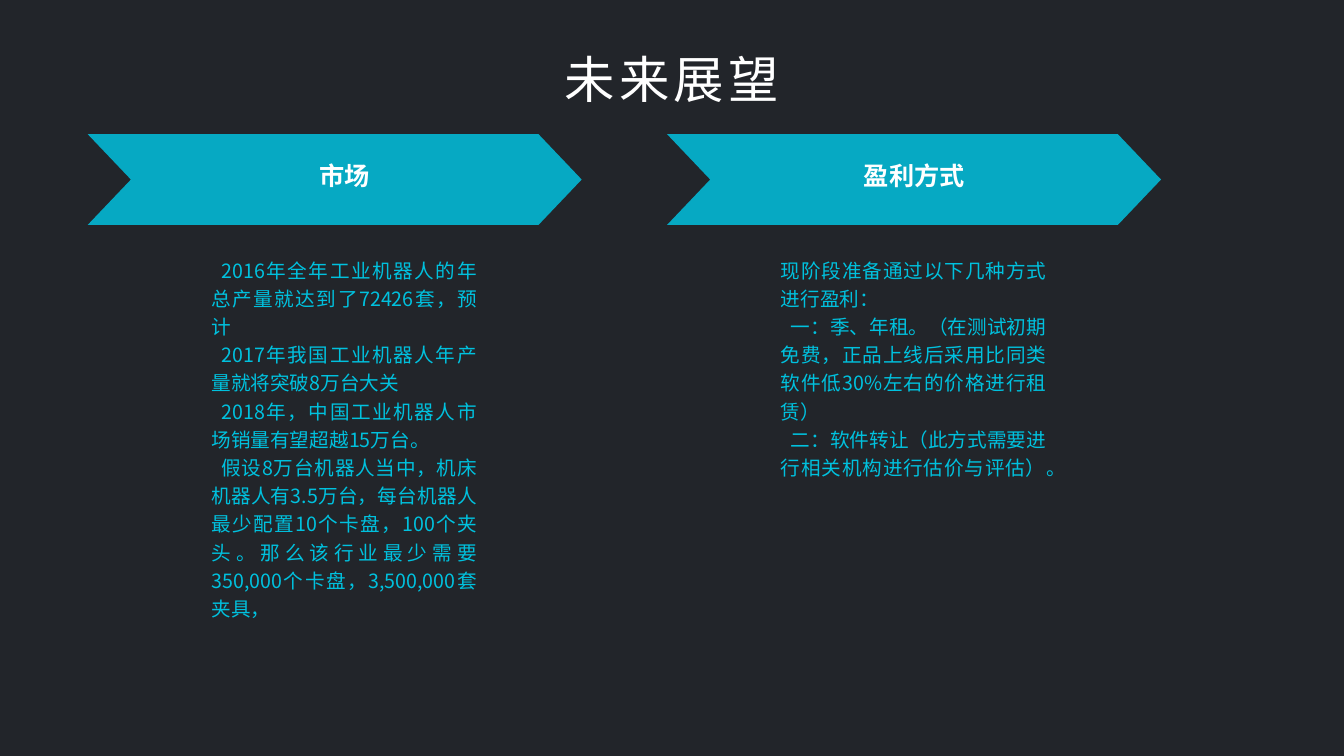
from dataclasses import dataclass

from lxml import etree
from pptx import Presentation
from pptx import util as u
from pptx.dml.color import RGBColor
from pptx.enum import shapes, text
from pptx.oxml import ns

TITLE = "未来展望"
COLUMNS = [
    {
        "heading": "市场",
        "body_height": 9.58,
        "paragraphs": [
            ("2016年全年工业机器人的年总产量就达到了72426套，预计", True),
            ("2017年我国工业机器人年产量就将突破8万台大关", True),
            ("2018年，中国工业机器人市场销量有望超越15万台。", True),
            ("假设8万台机器人当中，机床机器人有3.5万台，每台机器人最少配置10个卡盘，"
             "100个夹头。那么该行业最少需要350,000个卡盘，3,500,000套夹具，", True),
        ],
    },
    {
        "heading": "盈利方式",
        "body_height": 6.71,
        "paragraphs": [
            ("现阶段准备通过以下几种方式进行盈利：", False),
            ("一：季、年租。（在测试初期免费，正品上线后采用比同类软件低30%左右的价格进行租赁）", True),
            ("二：软件转让（此方式需要进行相关机构进行估价与评估）。", True),
        ],
    },
]


@dataclass(frozen=True)
class Theme:
    font: str = "Noto Sans CJK SC"
    background: str = "22252A"
    banner: str = "06A9C3"
    body: str = "00C1DE"
    white: str = "FFFFFF"
    title_size: int = 36
    heading_size: int = 18
    body_size: int = 14


THEME = Theme()
BANNER_LEFT, BANNER_PITCH = 2.21, 14.6
BANNER_TOP, BANNER_WIDTH, BANNER_HEIGHT, NOTCH = 3.38, 12.45, 2.29, 1.09
HEADING_LEFT, BODY_LEFT, TEXT_PITCH = 4.6, 5.08, 14.35
INDENT = 0.25


def box(*lengths):
    return [u.Cm(length) for length in lengths]


def write(holder, paragraphs, *, size, color, align, bold=False, line_spacing=1.0, tracking=0):
    frame = holder.text_frame
    frame.word_wrap = True
    frame.auto_size = text.MSO_AUTO_SIZE.SHAPE_TO_FIT_TEXT
    for number, (words, indented) in enumerate(paragraphs):
        paragraph = frame.add_paragraph() if number else frame.paragraphs[0]
        paragraph.alignment = align
        paragraph.line_spacing = line_spacing
        if indented:
            paragraph._p.get_or_add_pPr().set("indent", str(u.Cm(INDENT)))
        run = paragraph.add_run()
        run.text = words
        run.font.size = u.Pt(size)
        run.font.bold = bold
        run.font.color.rgb = RGBColor.from_string(color)
        run.font.name = THEME.font
        properties = run._r.get_or_add_rPr()
        etree.SubElement(properties, ns.qn("a:ea")).set("typeface", THEME.font)
        if tracking:
            properties.set("spc", str(tracking * 100))


def paint(shape):
    shape.shadow.inherit = False
    shape.fill.solid()
    shape.fill.fore_color.rgb = RGBColor.from_string(THEME.banner)
    shape.line.fill.background()


def add_banner(slide, left):
    right, bottom = left + BANNER_WIDTH, BANNER_TOP + BANNER_HEIGHT
    middle = BANNER_TOP + BANNER_HEIGHT / 2
    outline = [
        (right - NOTCH, BANNER_TOP), (right, middle), (right - NOTCH, bottom),
        (left, bottom), (left + NOTCH, middle),
    ]
    builder = slide.shapes.build_freeform(*box(left, BANNER_TOP))
    builder.add_line_segments([box(*point) for point in outline], close=True)
    paint(builder.convert_to_shape())


def add_column(slide, index, column):
    shift = index * TEXT_PITCH
    add_banner(slide, BANNER_LEFT + index * BANNER_PITCH)

    heading = slide.shapes.add_shape(
        shapes.MSO_SHAPE.RECTANGLE, *box(HEADING_LEFT + shift, 3.76, 8.18, 1.17))
    paint(heading)
    write(heading, [(column["heading"], False)], size=THEME.heading_size, color=THEME.white,
          align=text.PP_ALIGN.CENTER, bold=True, line_spacing=1.2)

    body = slide.shapes.add_textbox(*box(BODY_LEFT + shift, 6.27, 7.19, column["body_height"]))
    write(body, column["paragraphs"], size=THEME.body_size, color=THEME.body,
          align=text.PP_ALIGN.JUSTIFY, line_spacing=1.2)


def main():
    deck = Presentation()
    deck.slide_width, deck.slide_height = box(33.87, 19.05)
    slide = deck.slides.add_slide(deck.slide_layouts[6])
    slide.background.fill.solid()
    slide.background.fill.fore_color.rgb = RGBColor.from_string(THEME.background)

    title = slide.shapes.add_textbox(*box(9.55, 1.09, 14.76, 1.8))
    write(title, [(TITLE, False)], size=THEME.title_size, color=THEME.white,
          align=text.PP_ALIGN.CENTER, tracking=3)

    for index, column in enumerate(COLUMNS):
        add_column(slide, index, column)
    deck.save("out.pptx")


if __name__ == "__main__":
    main()
